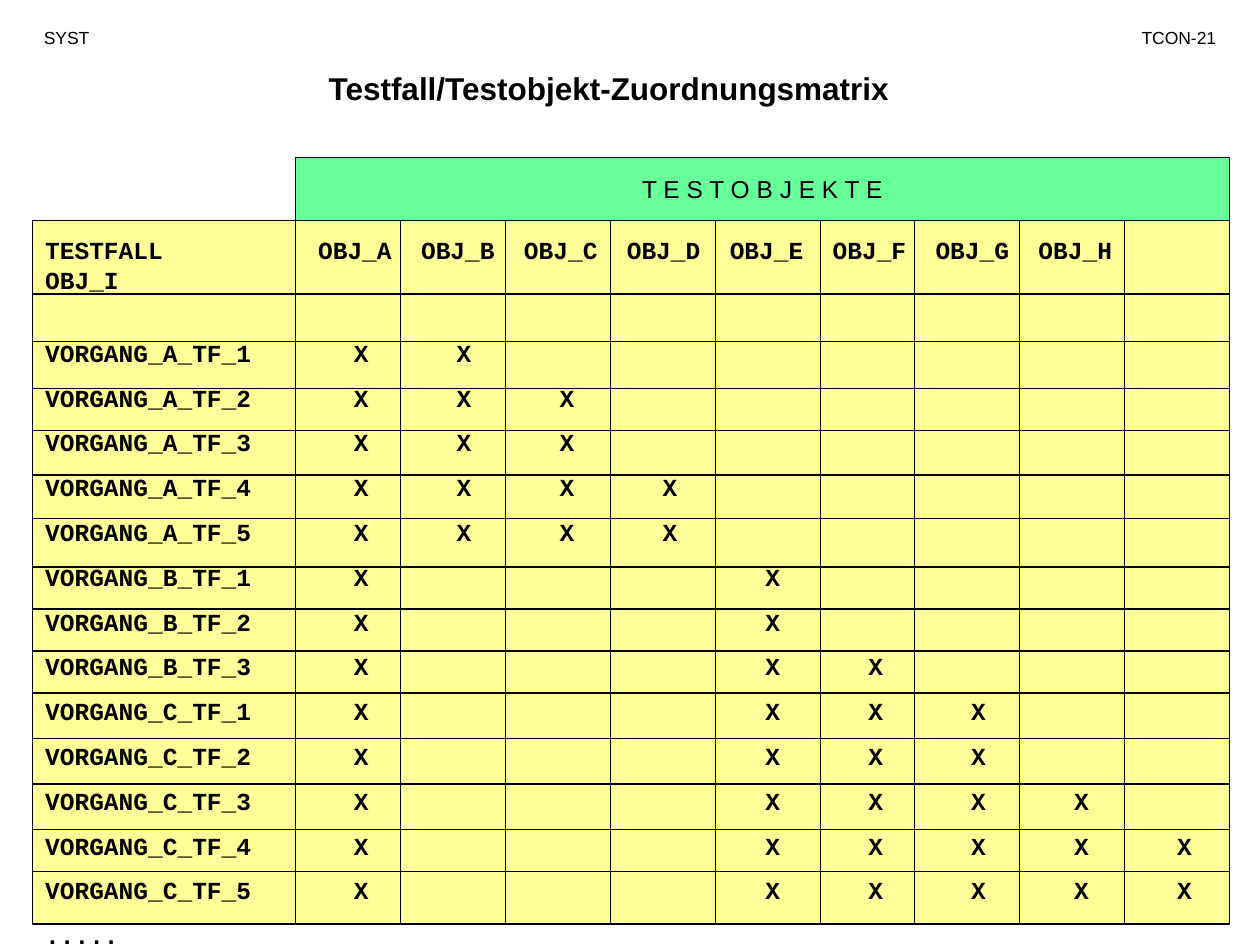
from itertools import accumulate

from lxml.etree import SubElement
from pptx import Presentation
from pptx.dml.color import RGBColor
from pptx.enum.shapes import MSO_CONNECTOR, MSO_SHAPE
from pptx.enum.text import MSO_ANCHOR, MSO_AUTO_SIZE, PP_ALIGN
from pptx.oxml.ns import qn
from pptx.util import Pt

# Content
TITLE = "Testfall/Testobjekt-Zuordnungsmatrix"
GROUP = "T E S T O B J E K T E"
OBJECTS = "ABCDEFGHI"
CASES = [
    ("VORGANG_A_TF_1", "AB"),
    ("VORGANG_A_TF_2", "ABC"),
    ("VORGANG_A_TF_3", "ABC"),
    ("VORGANG_A_TF_4", "ABCD"),
    ("VORGANG_A_TF_5", "ABCD"),
    ("VORGANG_B_TF_1", "AE"),
    ("VORGANG_B_TF_2", "AE"),
    ("VORGANG_B_TF_3", "AEF"),
    ("VORGANG_C_TF_1", "AEFG"),
    ("VORGANG_C_TF_2", "AEFG"),
    ("VORGANG_C_TF_3", "AEFGH"),
    ("VORGANG_C_TF_4", "AEFGHI"),
    ("VORGANG_C_TF_5", "AEFGHI"),
    (".....", ""),
]
COLORS = {"ink": "000000", "grid": "FFFF99", "group": "66FF99"}

# Layout in points
LEFT, TOP, WIDTH, HEIGHT = 18.75, 126, 684, 402
COLUMNS = list(accumulate([LEFT + 150] + [60] * 5 + [54] + [60] * 2))
ROWS = [168, 195, 222, 246, 271.5, 296.5, 324, 348, 372, 396, 422, 448, 474, 498]
NAME_TAB, MARK_TAB, TAB_STEP = 156, 176.4, 58.8
LINE_HEIGHT, PARA_GAP, HEADER_GAP = 16.8, 8.8, 24.9

prs = Presentation()
prs.slide_width, prs.slide_height = Pt(720), Pt(540)
s = prs.slides.add_slide(prs.slide_layouts[6])


def color(name):
    return RGBColor.from_string(COLORS[name])


def add_run(p, text, size, font="Arial", bold=False):
    r = p.add_run()
    r.text = text
    r.font.size, r.font.name, r.font.bold = Pt(size), font, bold
    r.font.color.rgb = color("ink")


def add_box(x, y, w, h):
    tf = s.shapes.add_textbox(Pt(x), Pt(y), Pt(w), Pt(h)).text_frame
    tf.word_wrap = True
    tf.auto_size = MSO_AUTO_SIZE.SHAPE_TO_FIT_TEXT
    return tf


def add_label(x, y, w, h, text, size, align, bold=False):
    p = add_box(x, y, w, h).paragraphs[0]
    p.alignment = align
    add_run(p, text, size, bold=bold)


def add_rect(x, y, w, h, fill):
    sp = s.shapes.add_shape(MSO_SHAPE.RECTANGLE, Pt(x), Pt(y), Pt(w), Pt(h))
    sp.shadow.inherit = False
    sp.fill.solid()
    sp.fill.fore_color.rgb = color(fill)
    sp.line.color.rgb, sp.line.width = color("ink"), Pt(0.75)
    return sp


def add_line(x1, y1, x2, y2, width=0.75):
    c = s.shapes.add_connector(MSO_CONNECTOR.STRAIGHT, Pt(x1), Pt(y1), Pt(x2), Pt(y2))
    c.line.color.rgb, c.line.width = color("ink"), Pt(width)
    SubElement(c._element.spPr, qn("a:effectLst"))


def add_tabs(p, stops):
    tabs = SubElement(p._p.get_or_add_pPr(), qn("a:tabLst"))
    for stop in stops:
        SubElement(tabs, qn("a:tab"), pos=str(Pt(stop)), algn="l")


def add_row(p, label, cells, stops, gap):
    if stops:
        add_tabs(p, stops)
    p.line_spacing, p.space_before = Pt(LINE_HEIGHT), Pt(gap)
    add_run(p, "\t".join([label] + cells), 14, "Courier New", True)


# Title and page labels
add_label(54, 36, 588, 29, TITLE, 18, PP_ALIGN.CENTER, True)
add_label(18, 12, 66, 19.5, "SYST", 10, PP_ALIGN.LEFT)
add_label(624, 12, 78, 19.5, "TCON-21", 10, PP_ALIGN.RIGHT)

# Matrix background
add_rect(LEFT, TOP, WIDTH, HEIGHT, "grid")

# Matrix text: the last object name stands on a second header line
tf = add_box(LEFT, 131, WIDTH, 415.5)
p = tf.paragraphs[0]
names = [f"OBJ_{o}" for o in OBJECTS]
stops = [NAME_TAB + TAB_STEP * i for i in range(len(names) - 1)]
add_row(p, "TESTFALL", names[:-1], stops, 0)
p.add_line_break()
add_run(p, names[-1], 14, "Courier New", True)
for i, (case, marks) in enumerate(CASES):
    stops = [MARK_TAB + TAB_STEP * OBJECTS.index(m) for m in marks]
    gap = PARA_GAP if i else HEADER_GAP
    add_row(tf.add_paragraph(), case, ["X"] * len(marks), stops, gap)

# Grid lines, heavier under the header
for i, y in enumerate(ROWS):
    add_line(LEFT, y, LEFT + WIDTH, y, 0.75 if i else 1.5)
for x in COLUMNS:
    add_line(x, TOP, x, TOP + HEIGHT)

# Heading over the object columns
sp = add_rect(COLUMNS[0], 90, LEFT + WIDTH - COLUMNS[0], 36, "group")
tf = sp.text_frame
tf.word_wrap = False
tf.vertical_anchor = MSO_ANCHOR.MIDDLE
p = tf.paragraphs[0]
p.alignment = PP_ALIGN.CENTER
add_run(p, GROUP, 14)

prs.save("out.pptx")
